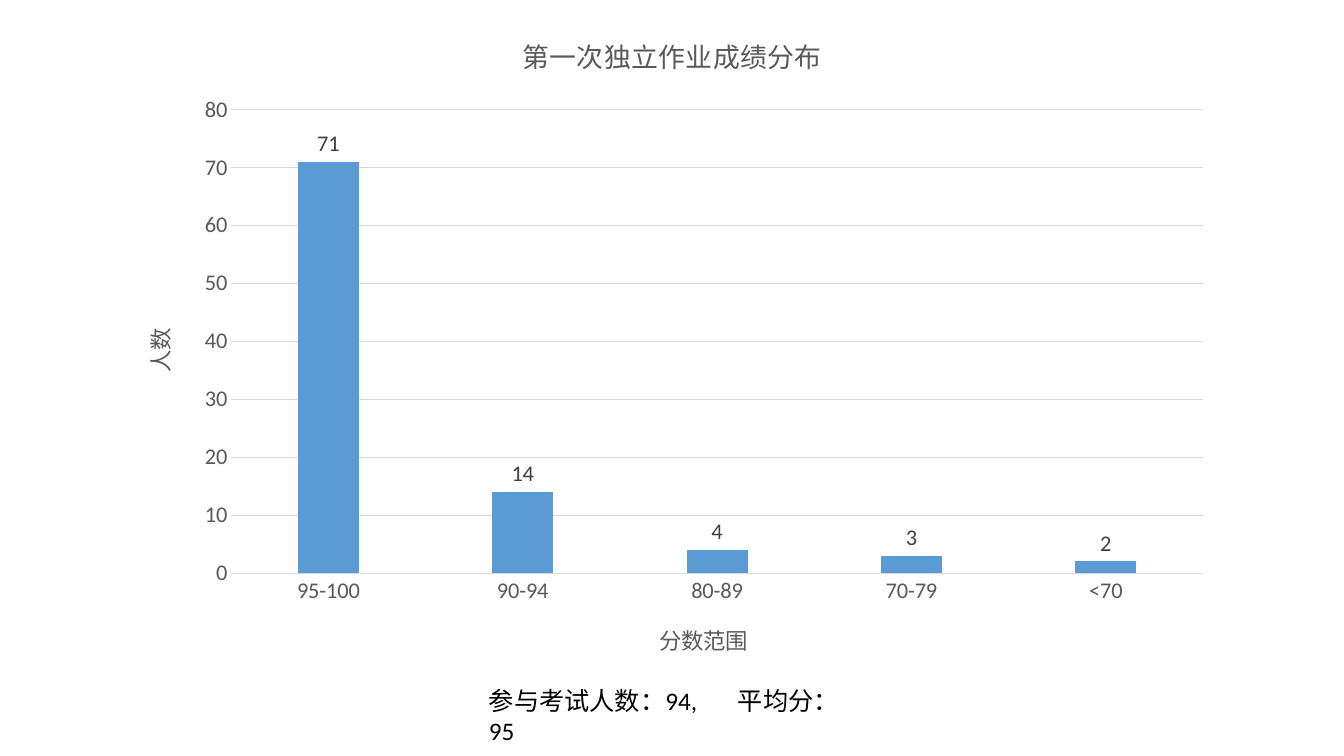
from dataclasses import dataclass

from lxml import etree
from pptx import Presentation
from pptx.chart.data import CategoryChartData
from pptx.dml.color import RGBColor
from pptx.enum.chart import XL_CHART_TYPE, XL_LABEL_POSITION, XL_TICK_MARK
from pptx.enum.text import MSO_AUTO_SIZE
from pptx.oxml.ns import qn
from pptx.util import Inches, Pt

COLUMN = XL_CHART_TYPE.COLUMN_CLUSTERED
OUTSIDE_END = XL_LABEL_POSITION.OUTSIDE_END
NO_TICK = XL_TICK_MARK.NONE
FIT_SHAPE = MSO_AUTO_SIZE.SHAPE_TO_FIT_TEXT
BLANK_LAYOUT = 6


@dataclass(frozen=True)
class Theme:
    font: str = "Calibri"
    bar: RGBColor = RGBColor(0x5B, 0x9B, 0xD5)
    grid: RGBColor = RGBColor(0xD9, 0xD9, 0xD9)
    axis_text: RGBColor = RGBColor(0x59, 0x59, 0x59)
    label_text: RGBColor = RGBColor(0x40, 0x40, 0x40)
    body_text: RGBColor = RGBColor(0, 0, 0)
    title_size: float = 19.2
    chart_size: float = 16
    body_size: float = 18
    line_width: float = 0.75


THEME = Theme()
SCORES = {"95-100": 71, "90-94": 14, "80-89": 4, "70-79": 3, "<70": 2}


def style_font(font, size, color):
    font.name = THEME.font
    font.size = Pt(size)
    font.bold = False
    font.color.rgb = color


def style_line(line):
    line.color.rgb = THEME.grid
    line.width = Pt(THEME.line_width)


def set_title(owner, text, size):
    """Title a chart or an axis."""
    owner.has_title = True
    title = owner.chart_title if hasattr(owner, "chart_title") else owner.axis_title
    r = title.text_frame.paragraphs[0].add_run()
    r.text = text
    style_font(r.font, size, THEME.axis_text)


def style_axis(axis, title):
    axis.major_tick_mark = axis.minor_tick_mark = NO_TICK
    style_font(axis.tick_labels.font, THEME.chart_size, THEME.axis_text)
    set_title(axis, title, THEME.chart_size)


def add_score_chart(s, left, top, width, height):
    data = CategoryChartData()
    data.categories = list(SCORES)
    data.add_series("人数", list(SCORES.values()))
    chart = s.shapes.add_chart(COLUMN, left, top, width, height, data).chart
    style_font(chart.font, THEME.chart_size, THEME.body_text)
    chart.has_legend = False
    set_title(chart, "第一次独立作业成绩分布", THEME.title_size)

    # Axes and grid
    style_axis(chart.category_axis, "分数范围")
    style_line(chart.category_axis.format.line)
    value_axis = chart.value_axis
    style_axis(value_axis, "人数")
    value_axis.minimum_scale, value_axis.maximum_scale = 0, 80
    value_axis.major_unit = 10
    value_axis.format.line.fill.background()
    value_axis.has_major_gridlines = True
    style_line(value_axis.major_gridlines.format.line)

    # Columns and their labels
    plot = chart.plots[0]
    plot.vary_by_categories = False
    plot.gap_width, plot.overlap = 219, -27
    fill = plot.series[0].format.fill
    fill.solid()
    fill.fore_color.rgb = THEME.bar
    plot.has_data_labels = True
    labels = plot.data_labels
    labels.show_value = True
    labels.position = OUTSIDE_END
    style_font(labels.font, THEME.chart_size, THEME.label_text)


def add_summary(s, left, top, width, height):
    tf = s.shapes.add_textbox(left, top, width, height).text_frame
    tf.word_wrap = True
    tf.auto_size = FIT_SHAPE
    p = tf.paragraphs[0]
    r = p.add_run()
    r.text = "参与考试人数：94,\t平均分：95"
    style_font(r.font, THEME.body_size, THEME.body_text)

    # Tab stop where the average begins
    tabs = etree.SubElement(p._p.get_or_add_pPr(), qn("a:tabLst"))
    etree.SubElement(tabs, qn("a:tab"), pos=str(Inches(2.47)), algn="l")


def build_score_slide(prs):
    s = prs.slides.add_slide(prs.slide_layouts[BLANK_LAYOUT])
    add_score_chart(s, Inches(1.19), Inches(0.09), Inches(10.96), Inches(6.65))
    add_summary(s, Inches(4.75), Inches(6.75), Inches(3.84), Inches(0.4))


prs = Presentation()
prs.slide_width, prs.slide_height = Inches(13.33), Inches(7.5)
build_score_slide(prs)
prs.save("out.pptx")
